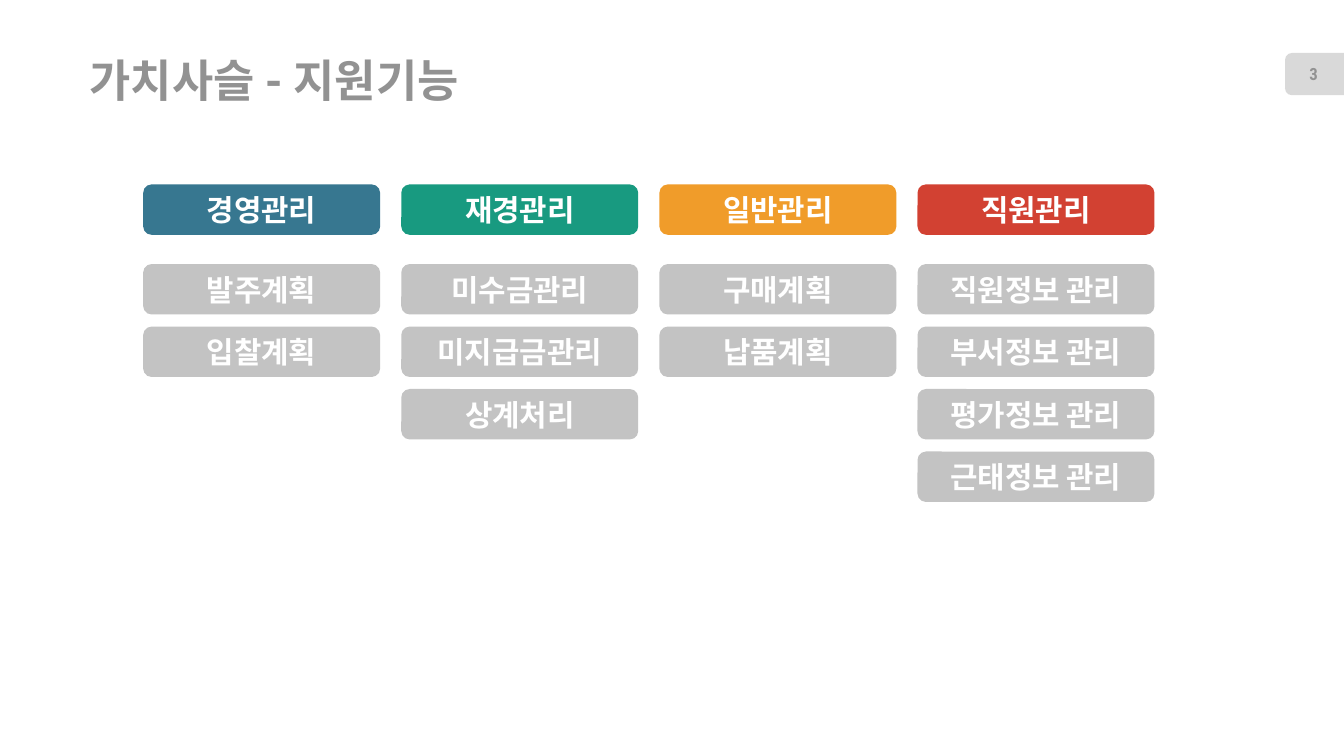
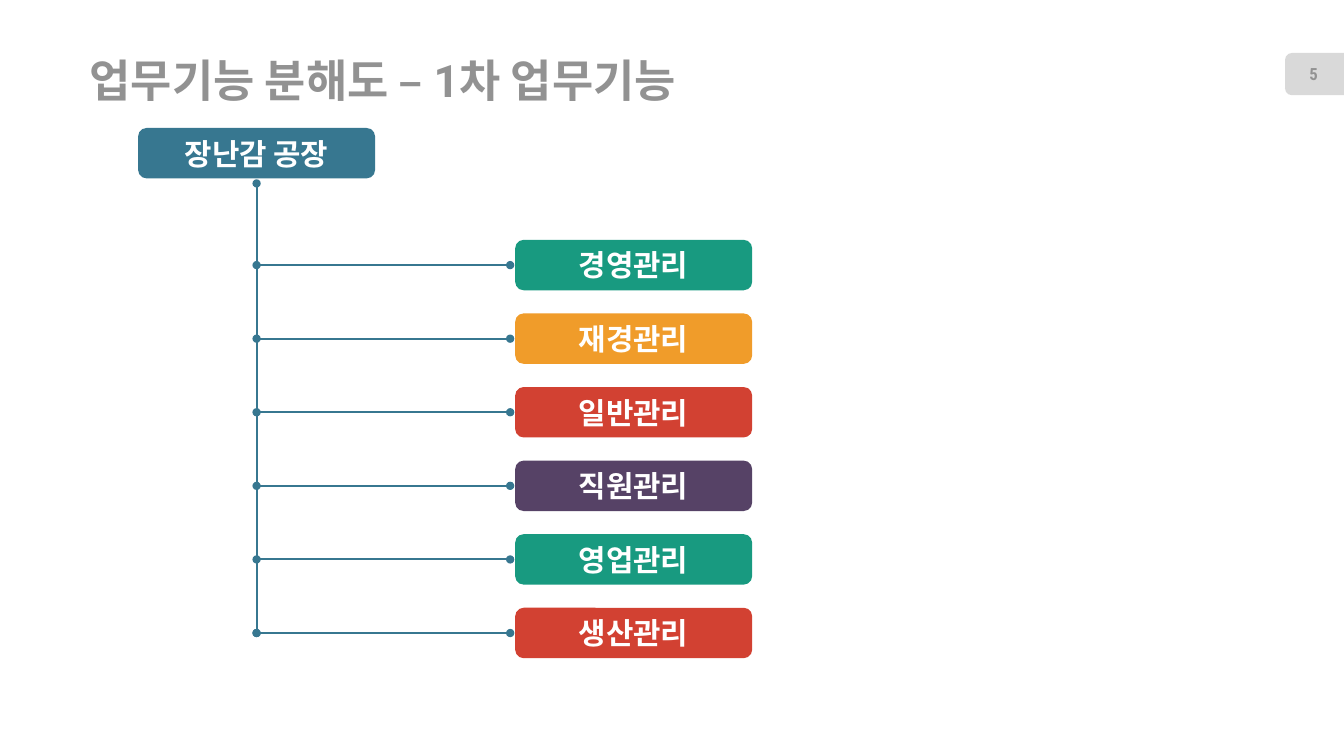
from lxml import etree
from pptx import Presentation
from pptx.dml.color import RGBColor
from pptx.enum.shapes import MSO_CONNECTOR as CONN, MSO_SHAPE as SHAPE
from pptx.enum.text import MSO_ANCHOR as ANCHOR, PP_ALIGN as ALIGN
from pptx.oxml.ns import qn
from pptx.util import Inches, Pt

BLUE, GREEN, ORANGE, RED, PURPLE = "377790", "189A80", "F09C2A", "D24132", "564266"
GRAY, BADGE_GRAY, TEXT_GRAY, WHITE = "C3C3C3", "D9D9D9", "929292", "FFFFFF"

TITLE_FONT = dict(name="Roboto", size=Pt(32), bold=True)
BOX_FONT = dict(name="Roboto Condensed", size=Pt(21.3), bold=True)
PAGE_FONT = dict(name="Roboto Condensed", size=Pt(12), bold=True)

BOX_W, BOX_H = 2.35, 0.5

SUPPORT_TITLE, SUPPORT_PAGE = "가치사슬 - 지원기능", "3"
SUPPORT = [
    ("경영관리", BLUE, ["발주계획", "입찰계획"]),
    ("재경관리", GREEN, ["미수금관리", "미지급금관리", "상계처리"]),
    ("일반관리", ORANGE, ["구매계획", "납품계획"]),
    ("직원관리", RED, ["직원정보 관리", "부서정보 관리", "평가정보 관리", "근태정보 관리"]),
]

TREE_TITLE, TREE_PAGE = "업무기능 분해도 – 1차 업무기능", "5"
TREE_ROOT = "장난감 공장"
TREE_BRANCHES = [
    ("경영관리", GREEN),
    ("재경관리", ORANGE),
    ("일반관리", RED),
    ("직원관리", PURPLE),
    ("영업관리", GREEN),
    ("생산관리", RED),
]


def rgb(value):
    return RGBColor.from_string(value)


def write(shape, text, font, color, align):
    tf = shape.text_frame
    tf.vertical_anchor = ANCHOR.MIDDLE
    p = tf.paragraphs[0]
    p.alignment = align
    r = p.add_run()
    r.text = text
    for name, value in font.items():
        setattr(r.font, name, value)
    r.font.color.rgb = rgb(color)


def add_filled(slide, kind, x, y, w, h, color):
    sp = slide.shapes.add_shape(kind, Inches(x), Inches(y), Inches(w), Inches(h))
    sp.shadow.inherit = False
    sp.fill.solid()
    sp.fill.fore_color.rgb = rgb(color)
    sp.line.fill.background()
    return sp


def add_box(slide, x, y, text, color):
    sp = add_filled(slide, SHAPE.ROUNDED_RECTANGLE, x, y, BOX_W, BOX_H, color)
    write(sp, text, BOX_FONT, WHITE, ALIGN.CENTER)


def add_text(slide, x, y, w, h, *text_format):
    tb = slide.shapes.add_textbox(Inches(x), Inches(y), Inches(w), Inches(h))
    write(tb, *text_format)
    return tb.text_frame


def add_link(slide, x1, y1, x2, y2):
    """Draw a line with a dot at each end."""
    line = slide.shapes.add_connector(
        CONN.STRAIGHT, Inches(x1), Inches(y1), Inches(x2), Inches(y2))
    line.line.color.rgb = rgb(BLUE)
    line.line.width = Pt(1.5)
    ln = line.line._get_or_add_ln()
    for end in ("a:headEnd", "a:tailEnd"):
        etree.SubElement(ln, qn(end), type="oval")
    etree.SubElement(line._element.spPr, qn("a:effectLst"))


def new_slide(prs, title, page):
    """Add a slide with the shared title and page badge."""
    slide = prs.slides.add_slide(prs.slide_layouts[6])
    badge = add_filled(slide, SHAPE.ROUND_2_SAME_RECTANGLE,
                       12.83, 0.44, 0.42, 0.59, BADGE_GRAY)
    badge.rotation = 270
    add_text(slide, 12.75, 0.53, 0.56, 0.4, page, PAGE_FONT, TEXT_GRAY, ALIGN.CENTER)
    tf = add_text(slide, 0.89, 0.53, 8.22, 0.52, title, TITLE_FONT, TEXT_GRAY, ALIGN.LEFT)
    for side in ("left", "top", "right", "bottom"):
        setattr(tf, f"margin_{side}", 0)
    return slide


def build_support(prs):
    slide = new_slide(prs, SUPPORT_TITLE, SUPPORT_PAGE)
    left, header_y, first_y, col_step, row_step = 1.42, 1.83, 2.62, 2.56, 0.62
    for col, (header, color, items) in enumerate(SUPPORT):
        x = left + col * col_step
        add_box(slide, x, header_y, header, color)
        for row, item in enumerate(items):
            add_box(slide, x, first_y + row * row_step, item, GRAY)


def build_tree(prs):
    slide = new_slide(prs, TREE_TITLE, TREE_PAGE)
    root_x, root_y, branch_x, first_y, step, gap = 1.37, 1.27, 5.11, 2.38, 0.73, 0.05
    trunk_x = root_x + BOX_W / 2
    add_box(slide, root_x, root_y, TREE_ROOT, BLUE)
    for row, (name, color) in enumerate(TREE_BRANCHES):
        y = first_y + row * step
        mid_y = y + BOX_H / 2
        add_box(slide, branch_x, y, name, color)
        add_link(slide, branch_x - gap, mid_y, trunk_x, mid_y)
    add_link(slide, trunk_x, root_y + BOX_H + gap, trunk_x, mid_y)


def main():
    prs = Presentation()
    prs.slide_width, prs.slide_height = Inches(13.33), Inches(7.5)
    build_support(prs)
    build_tree(prs)
    prs.save("out.pptx")


if __name__ == "__main__":
    main()
